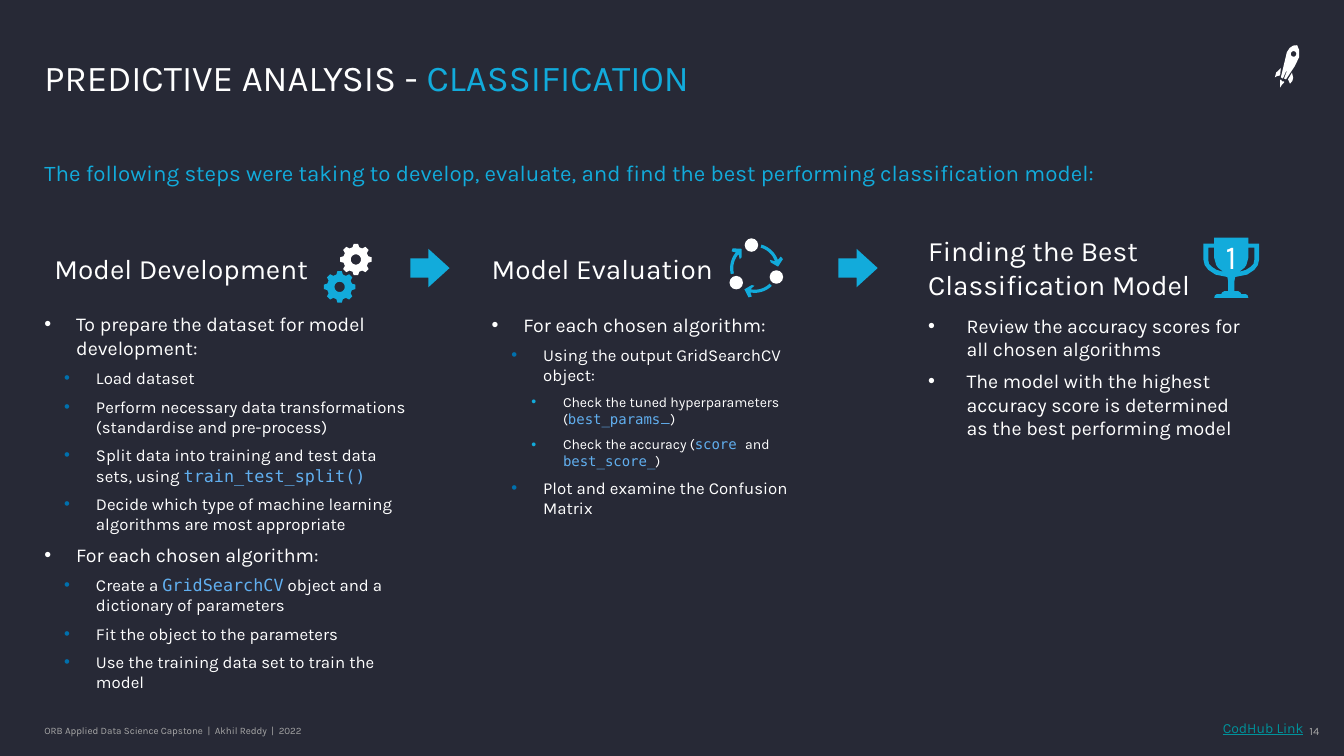
from math import cos, radians, sin

from pptx import Presentation
from pptx.dml.color import RGBColor
from pptx.enum.shapes import MSO_SHAPE
from pptx.enum.text import MSO_ANCHOR, PP_ALIGN
from pptx.oxml.ns import qn
from pptx.util import Cm, Pt
from lxml.etree import SubElement

NIGHT, WHITE, CYAN, BLUE = "272936", "FFFFFF", "12ABDB", "0070AD"
GREY, TEAL, CODE_BLUE = "A6A6A6", "00929B", "61AFEF"
BODY, MONO = "Karla", "DejaVu Sans Mono"
INSETS = (0.25, 0.13, 0.25, 0.13)
FLUSH = (0, 0, 0, 0)
CODE = {"name": MONO, "color": CODE_BLUE}
LEVEL_SIZES = (14, 12, 10)
BULLET_COLORS = (None, BLUE, CYAN)


def rgb(value):
    return RGBColor.from_string(value)


def polar(center, radius, degrees):
    angle = radians(degrees)
    return center[0] + radius * cos(angle), center[1] + radius * sin(angle)


def arc(center, radius, start, end, steps=24):
    return [polar(center, radius, start + (end - start) * i / steps)
            for i in range(steps + 1)]


def shifted(origin, points):
    return [(origin[0] + x, origin[1] + y) for x, y in points]


def mirrored(half):
    """Close a right-hand half outline with its reflection."""
    return half + [(-x, y) for x, y in reversed(half)]


class Deck:
    def __init__(self, width, height, background):
        self.prs = Presentation()
        self.prs.slide_width, self.prs.slide_height = Cm(width), Cm(height)
        self.slide = self.prs.slides.add_slide(self.prs.slide_layouts[6])
        self.slide.background.fill.solid()
        self.slide.background.fill.fore_color.rgb = rgb(background)

    def frame(self, holder, insets=INSETS, anchor=MSO_ANCHOR.TOP):
        left, top, right, bottom = map(Cm, insets)
        values = {"margin_left": left, "margin_top": top, "margin_right": right,
                  "margin_bottom": bottom, "vertical_anchor": anchor, "word_wrap": True}
        for key, value in values.items():
            setattr(holder.text_frame, key, value)
        return holder.text_frame

    def runs(self, paragraph, parts, size, color=WHITE):
        """Write parts, each a string or a (string, font overrides) pair."""
        for part in [parts] if isinstance(parts, str) else parts:
            text, changes = (part, {}) if isinstance(part, str) else part
            values = {"name": BODY, "color": color, "size": Pt(size), **changes}
            run = paragraph.add_run()
            run.text = text
            run.font.color.rgb = rgb(values.pop("color"))
            for key, value in values.items():
                setattr(run.font, key, value)

    def text(self, box, parts, size, color=WHITE, align=PP_ALIGN.LEFT, spacing=1.0, **layout):
        holder = self.slide.shapes.add_textbox(*map(Cm, box))
        paragraph = self.frame(holder, **layout).paragraphs[0]
        paragraph.alignment, paragraph.line_spacing = align, spacing
        self.runs(paragraph, parts, size, color)

    def bullets(self, box, items, hang=0.8, **layout):
        """Write (level, parts) items as a bulleted list."""
        frame = self.frame(self.slide.shapes.add_textbox(*map(Cm, box)), **layout)
        for index, (level, parts) in enumerate(items):
            paragraph = frame.add_paragraph() if index else frame.paragraphs[0]
            properties = paragraph._p.get_or_add_pPr()
            properties.set("marL", str(Cm(hang + 0.5 * level)))
            properties.set("indent", str(-Cm(hang)))
            if BULLET_COLORS[level]:
                tint = SubElement(properties, qn("a:buClr"))
                SubElement(tint, qn("a:srgbClr")).set("val", BULLET_COLORS[level])
            SubElement(properties, qn("a:buFont")).set("typeface", "Arial")
            SubElement(properties, qn("a:buChar")).set("char", "•")
            paragraph.level = level
            paragraph.space_after = Pt(6)
            self.runs(paragraph, parts, LEVEL_SIZES[level])

    def paint(self, shape, color):
        shape.shadow.inherit = False
        shape.fill.solid()
        shape.fill.fore_color.rgb = rgb(color)
        shape.line.fill.background()
        return shape

    def preset(self, kind, box, color):
        return self.paint(self.slide.shapes.add_shape(kind, *map(Cm, box)), color)

    def outline(self, contours, color):
        """Fill closed contours; inner ones become holes."""
        first, *others = [[(Cm(x), Cm(y)) for x, y in c] for c in contours]
        builder = self.slide.shapes.build_freeform(*first[0])
        builder.add_line_segments(first[1:])
        for contour in others:
            builder.move_to(*contour[0])
            builder.add_line_segments(contour[1:])
        return self.paint(builder.convert_to_shape(), color)

    def gear(self, center, color):
        teeth = [polar(center, radius, 45 * tooth + offset) for tooth in range(8)
                 for radius, offset in ((0.32, -15), (0.4, -8), (0.4, 8), (0.32, 15))]
        self.outline([teeth, arc(center, 0.13, 0, 360)], color)

    def cycle(self, center):
        head = ((0.72, -24), (0.75, -18), (0.59, -4), (0.43, -20), (0.44, -29))
        for turn in (0, 120, 240):
            arrow = (arc(center, 0.62, turn - 74, turn - 20)
                     + [polar(center, radius, turn + angle) for radius, angle in head]
                     + arc(center, 0.54, turn - 19, turn - 74))
            self.outline([arrow], CYAN)
        for turn in (0, 120, 240):
            x, y = polar(center, 0.59, turn + 22)
            self.preset(MSO_SHAPE.OVAL, (x - 0.17, y - 0.17, 0.34, 0.34), WHITE)

    def trophy(self, origin, place):
        cup = [(0.43, 0), (0.43, 0.15), (0.7, 0.15), (0.7, 0.56), (0.67, 0.69),
               (0.58, 0.81), (0.4, 0.93), (0.1, 0.99), (0.08, 1.09), (0.08, 1.35),
               (0.18, 1.35), (0.23, 1.38), (0.25, 1.42), (0.36, 1.42), (0.41, 1.45),
               (0.43, 1.52)]
        handle = [(0.43, 0.25), (0.58, 0.25), (0.58, 0.56), (0.56, 0.66), (0.48, 0.74),
                  (0.37, 0.81), (0.2, 0.86), (0.33, 0.76), (0.38, 0.69), (0.43, 0.51)]
        contours = [mirrored(cup), handle, [(-x, y) for x, y in handle]]
        shape = self.outline([shifted(origin, c) for c in contours], CYAN)
        frame = self.frame(shape, (0, 0, 0, 0.61), MSO_ANCHOR.MIDDLE)
        frame.paragraphs[0].alignment = PP_ALIGN.CENTER
        self.runs(frame.paragraphs[0], place, 24)

    def rocket(self, origin):
        flame = [(0.13, 1.07), (0.13, 0.89), (0.15, 0.86), (0.18, 0.91), (0.23, 0.91),
                 (0.23, 0.94), (0.18, 0.99)]
        right_fin = [(0.38, 0.97), (0.33, 0.86), (0.43, 0.69), (0.46, 0.82), (0.44, 0.9)]
        left_fin = [(0, 0.81), (0.03, 0.69), (0.15, 0.58), (0.13, 0.76), (0.05, 0.78)]
        body = [(0.23, 0.84), (0.3, 0.66), (0.28, 0.66), (0.2, 0.84), (0.15, 0.81),
                (0.3, 0.18), (0.37, 0.07), (0.46, 0.01), (0.56, 0), (0.61, 0.12),
                (0.61, 0.3), (0.5, 0.53), (0.28, 0.86)]
        window = arc((0.47, 0.22), 0.07, 0, 360)
        contours = (flame, right_fin, left_fin, body, window)
        self.outline([shifted(origin, c) for c in contours], WHITE)


def main():
    deck = Deck(33.87, 19.05, NIGHT)
    middle = MSO_ANCHOR.MIDDLE
    deck.text((1.12, 18.11, 9.47, 0.61),
              "ORB Applied Data Science Capstone  |  Akhil Reddy  |  2022",
              7, GREY, insets=FLUSH, anchor=middle)
    deck.text((32.61, 18.11, 0.64, 0.61), "14", 8, GREY, PP_ALIGN.RIGHT,
              insets=(0, 0.13, 0, 0.13))
    deck.rocket((32.13, 1.14))
    deck.text((1.12, 0.53, 30.4, 1.98),
              ["PREDICTIVE ANALYSIS - ", ("CLASSIFICATION", {"color": CYAN})],
              26, spacing=0.9, insets=FLUSH, anchor=MSO_ANCHOR.BOTTOM)
    deck.text((1.12, 4.01, 31.67, 1.93),
              "The following steps were taking to develop, evaluate, and find the best "
              "performing classification model:", 16, CYAN, insets=FLUSH)
    deck.text((30.35, 18.01, 2.5, 0.71), [("CodHub Link", {"underline": True})],
              10, TEAL, PP_ALIGN.RIGHT, insets=(0, 0.13, 0, 0.13))

    deck.text((1.12, 5.79, 9.6, 1.96), "Model Development", 20, anchor=middle)
    deck.bullets((1.12, 7.87, 9.22, 9.45), [
        (0, "To prepare the dataset for model development:"),
        (1, "Load dataset"),
        (1, "Perform necessary data transformations (standardise and pre-process)"),
        (1, ["Split data into training and test data sets, using ",
             ("train_test_split()", CODE)]),
        (1, "Decide which type of machine learning algorithms are most appropriate"),
        (0, "For each chosen algorithm:"),
        (1, ["Create a ", ("GridSearchCV", CODE), " object and a dictionary of parameters"]),
        (1, "Fit the object to the parameters"),
        (1, "Use the training data set to train the model"),
    ], insets=FLUSH)

    deck.text((12.14, 5.89, 7.09, 1.75), "Model Evaluation", 20, anchor=middle)
    deck.bullets((12.14, 7.76, 8.99, 9.55), [
        (0, "For each chosen algorithm:"),
        (1, "Using the output GridSearchCV object:"),
        (2, ["Check the tuned hyperparameters (", ("best_params", CODE),
             ("_", {"color": CODE_BLUE}), ")"]),
        (2, ["Check the accuracy (", ("score ", CODE), "and ", ("best_score_", CODE), ")"]),
        (1, "Plot and examine the Confusion Matrix"),
    ])

    deck.text((23.14, 5.76, 9.6, 2.01), "Finding the Best Classification Model", 20)
    deck.bullets((23.14, 7.77, 8.59, 9.55), [
        (0, "Review the accuracy scores for all chosen algorithms"),
        (0, "The model with the highest accuracy score is determined as the best "
            "performing model"),
    ], hang=0.97)

    for left in (10.34, 21.13):
        step = deck.preset(MSO_SHAPE.RIGHT_ARROW, (left, 6.27, 0.99, 0.97), CYAN)
        step.adjustments[1] = 0.55
    deck.cycle((19.02, 6.76))
    deck.trophy((31.03, 5.99), "1")
    deck.gear((8.97, 6.54), WHITE)
    deck.gear((8.56, 7.23), CYAN)
    deck.prs.save("out.pptx")


if __name__ == "__main__":
    main()
